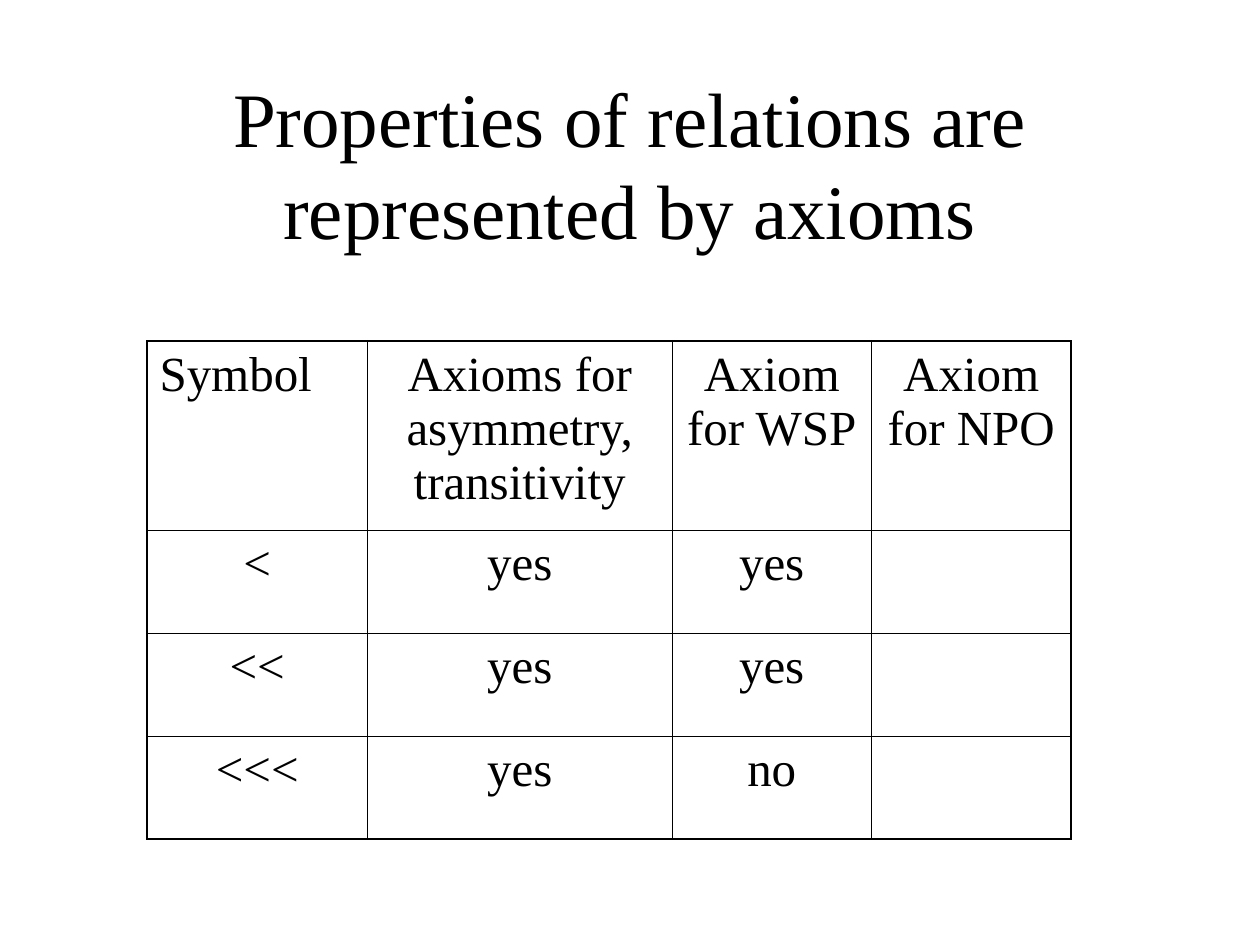
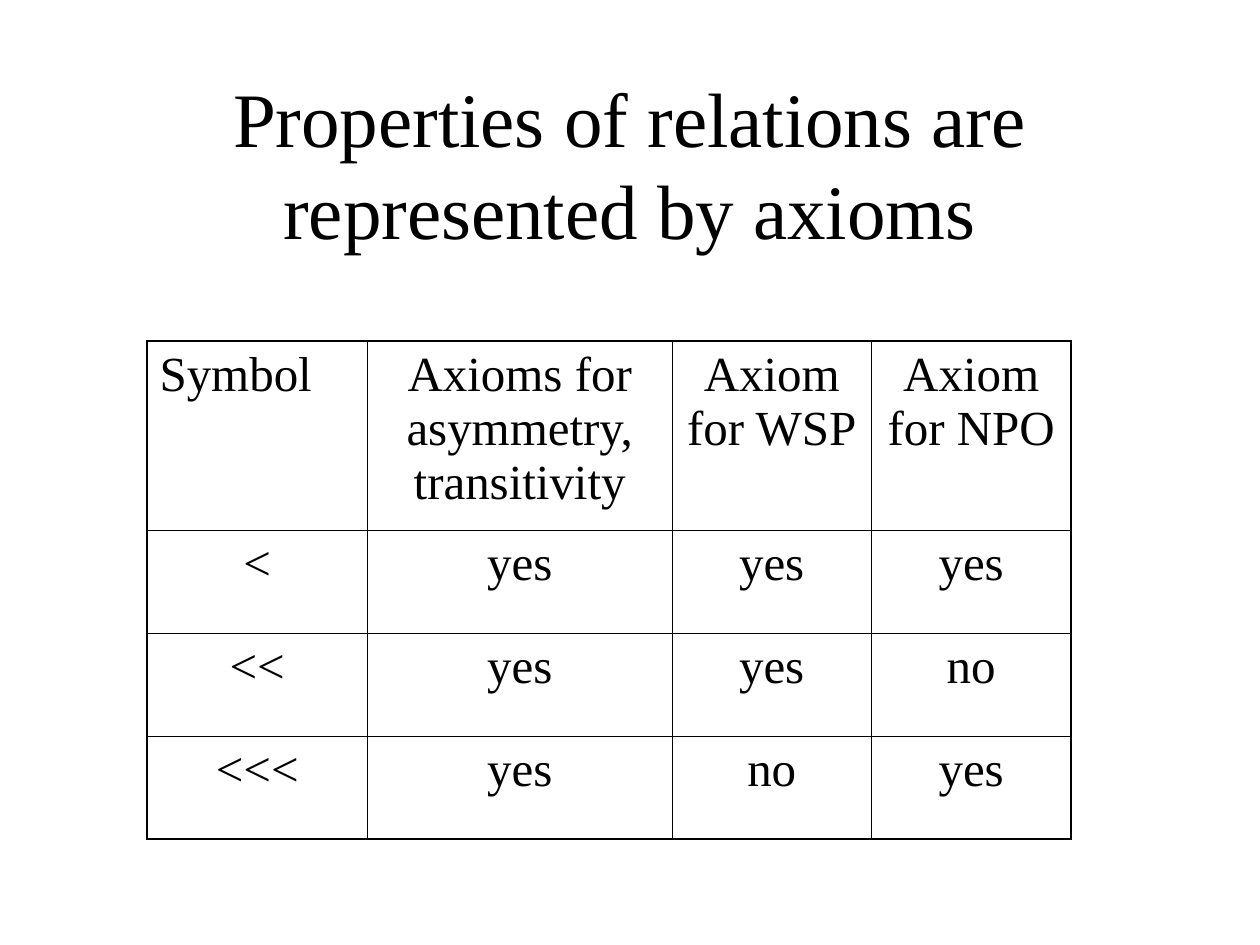
"""Build two slides that tabulate the axioms behind each relation symbol."""
import pptx
import pptx.dml.color
import pptx.enum.text
import pptx.oxml
import pptx.oxml.ns
import pptx.util

BLACK = pptx.dml.color.RGBColor(0, 0, 0)
WHITE = pptx.dml.color.RGBColor(255, 255, 255)
ALIGN = pptx.enum.text.PP_ALIGN
ANCHOR = pptx.enum.text.MSO_ANCHOR

TITLE = "Properties of relations are represented by axioms"
HEADINGS = ["Symbol", "Axioms for asymmetry, transitivity", "Axiom for WSP", "Axiom for NPO"]
RELATIONS = [["<", "yes", "yes"], ["<<", "yes", "yes"], ["<<<", "yes", "no"]]
NPO_ANSWERS = [["", "", ""], ["yes", "no", "yes"]]


class AxiomDeck:
    font_name = "Times New Roman"
    title_size, cell_size, cell_space = 44, 28, 7
    outer_line, inner_line = 1.08, 0.45
    grid_columns, grid_rows = 120, 90
    column_widths = [21, 29, 19, 19]
    header_height, body_height = 18, 9.8

    def __init__(self):
        self.deck = pptx.Presentation()
        self.deck.slide_width = pptx.util.Inches(10)
        self.deck.slide_height = pptx.util.Inches(7.5)
        self.page = None

    def across(self, columns):
        return round(self.deck.slide_width * columns / self.grid_columns)

    def down(self, rows):
        return round(self.deck.slide_height * rows / self.grid_rows)

    def style(self, paragraph, size, alignment=ALIGN.CENTER):
        paragraph.alignment = alignment
        paragraph.font.name = self.font_name
        paragraph.font.size = pptx.util.Pt(size)
        paragraph.font.color.rgb = BLACK

    def add_page(self, title):
        self.page = self.deck.slides.add_slide(self.deck.slide_layouts[5])
        self.page.background.fill.solid()
        self.page.background.fill.fore_color.rgb = WHITE
        box = self.page.shapes.title
        box.left, box.top = self.across(9), self.down(8)
        box.width, box.height = self.across(102), self.down(15)
        frame = box.text_frame
        frame.text = title
        frame.word_wrap = True
        frame.auto_size = pptx.enum.text.MSO_AUTO_SIZE.NONE
        frame.vertical_anchor = ANCHOR.MIDDLE
        self.style(frame.paragraphs[0], self.title_size)

    def add_borders(self, cell, outer_sides):
        properties = cell._tc.get_or_add_tcPr()
        for side in "LRTB":
            points = self.outer_line if side in outer_sides else self.inner_line
            properties.append(pptx.oxml.parse_xml(
                f'<a:ln{side} {pptx.oxml.ns.nsdecls("a")} w="{pptx.util.Pt(points)}">'
                f'<a:solidFill><a:srgbClr val="{BLACK}"/></a:solidFill></a:ln{side}>'))

    def add_table(self, rows):
        heights = [self.header_height] + [self.body_height] * (len(rows) - 1)
        table = self.page.shapes.add_table(
            len(rows), len(self.column_widths), self.across(14), self.down(32.5),
            self.across(sum(self.column_widths)), self.down(sum(heights))).table
        table.first_row = table.horz_banding = False
        for column, width in zip(table.columns, self.column_widths):
            column.width = self.across(width)
        for row, height in zip(table.rows, heights):
            row.height = self.down(height)
        last_row, last_column = len(rows) - 1, len(self.column_widths) - 1
        for r, row in enumerate(rows):
            for c, text in enumerate(row):
                cell = table.cell(r, c)
                edges = {"L": c == 0, "R": c == last_column, "T": r == 0, "B": r == last_row}
                self.add_borders(cell, [side for side, outer in edges.items() if outer])
                cell.fill.background()
                cell.vertical_anchor = ANCHOR.TOP
                cell.text = text
                paragraph = cell.text_frame.paragraphs[0]
                paragraph.space_before = pptx.util.Pt(self.cell_space)
                self.style(paragraph, self.cell_size, ALIGN.LEFT if r == c == 0 else ALIGN.CENTER)


def main():
    axioms = AxiomDeck()
    for answers in NPO_ANSWERS:
        axioms.add_page(TITLE)
        axioms.add_table([HEADINGS] + [row + [npo] for row, npo in zip(RELATIONS, answers)])
    axioms.deck.save("out.pptx")


if __name__ == "__main__":
    main()
